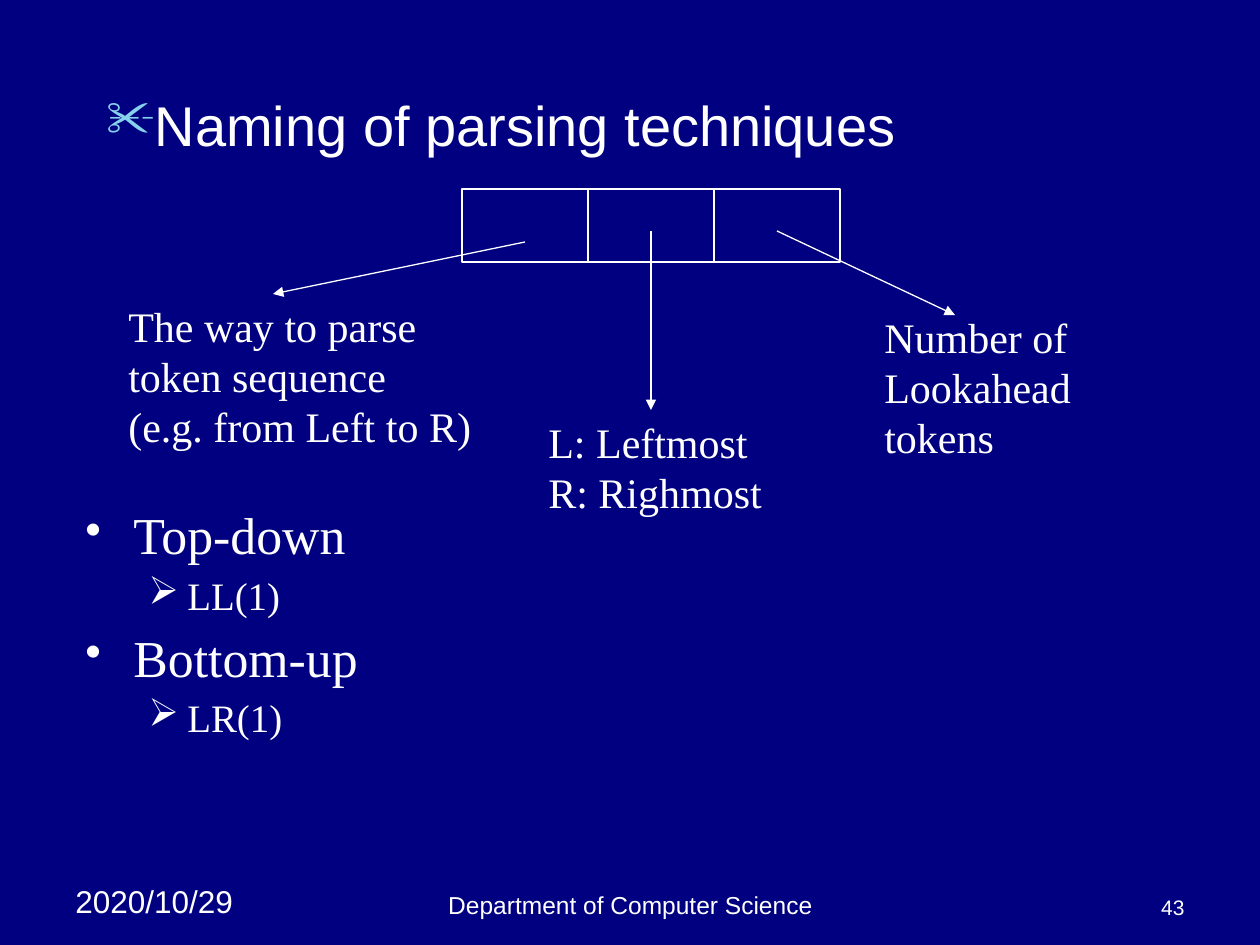
from dataclasses import dataclass

import pptx
import pptx.dml.color
import pptx.enum.shapes
import pptx.enum.text
import pptx.oxml.ns
import pptx.util
from lxml import etree

EMU_PER_PX = 914400 / 126
WHITE = "FFFFFF"
SANS, SERIF = "Arial", "Times New Roman"
ALIGN = pptx.enum.text.PP_ALIGN
ANCHOR = pptx.enum.text.MSO_ANCHOR


@dataclass
class Bullet:
    char: str
    indent: int
    hang: int
    color: str = WHITE
    size: int = 100
    level: int = 0


@dataclass
class Label:
    text: str
    left: int
    top: int
    width: int
    height: int
    wrap: bool


@dataclass
class Arrow:
    start: tuple[int, int]
    end: tuple[int, int]


def px(length: int) -> pptx.util.Emu:
    return pptx.util.Emu(round(length * EMU_PER_PX))


def rgb(color: str) -> pptx.dml.color.RGBColor:
    return pptx.dml.color.RGBColor.from_string(color)


def add_child(parent, tag: str, **attributes: str):
    return etree.SubElement(parent, pptx.oxml.ns.qn(tag), attributes)


def add_bullet(para, bullet: Bullet) -> None:
    para.level = bullet.level
    properties = para._p.get_or_add_pPr()
    properties.set("marL", str(px(bullet.indent)))
    properties.set("indent", str(px(-bullet.hang)))
    add_child(add_child(properties, "a:buClr"), "a:srgbClr", val=bullet.color)
    add_child(properties, "a:buSzPct", val=str(bullet.size * 1000))
    add_child(properties, "a:buChar", char=bullet.char)


def add_box(page, left: int, top: int, width: int, height: int, *, wrap=True, grow=False,
            anchor=ANCHOR.TOP):
    box = page.shapes.add_textbox(px(left), px(top), px(width), px(height))
    frame = box.text_frame
    frame.word_wrap = wrap
    frame.vertical_anchor = anchor
    sizing = pptx.enum.text.MSO_AUTO_SIZE
    frame.auto_size = sizing.SHAPE_TO_FIT_TEXT if grow else sizing.NONE
    return frame


def write(frame, text: str, *, size=24, font=SERIF, color=WHITE, align=ALIGN.LEFT,
          bullet: Bullet | None = None, before=0, spacing=1.0) -> None:
    """Fill the first paragraph of the frame, or add one after the others."""
    first = not frame.text
    para = frame.paragraphs[0] if first else frame.add_paragraph()
    if bullet:
        add_bullet(para, bullet)
    para.alignment = align
    para.line_spacing = spacing
    para.space_before = pptx.util.Pt(0 if first else before)
    span = para.add_run()
    span.text = text
    span.font.size = pptx.util.Pt(size)
    span.font.name = font
    span.font.color.rgb = rgb(color)


def style_line(line) -> None:
    line.color.rgb = rgb(WHITE)
    line.width = pptx.util.Pt(0.75)


def draw_cell(page, left: int, top: int, width: int, height: int) -> None:
    cell = page.shapes.add_shape(pptx.enum.shapes.MSO_SHAPE.RECTANGLE,
                                 px(left), px(top), px(width), px(height))
    cell.shadow.inherit = False
    cell.fill.background()
    style_line(cell.line)


def draw_arrow(page, arrow: Arrow) -> None:
    connector = page.shapes.add_connector(pptx.enum.shapes.MSO_CONNECTOR.STRAIGHT,
                                          *map(px, arrow.start + arrow.end))
    style_line(connector.line)
    add_child(connector.line._get_or_add_ln(), "a:tailEnd", type="triangle")
    add_child(connector._element.spPr, "a:effectLst")


def draw_label(page, label: Label) -> None:
    frame = add_box(page, label.left, label.top, label.width, label.height,
                    wrap=label.wrap, grow=True)
    for line in label.text.split("\n"):
        write(frame, line)


SCISSORS = Bullet("✂", 48, 48, color="86D1EC", size=90)
DOT = Bullet("•", 48, 48, size=90)
ARROWHEAD = Bullet("➢", 102, 39, level=1)

LABELS = [
    Label("The way to parse\ntoken sequence\n(e.g. from Left to R)", 116, 294, 368, 164, False),
    Label("L: Leftmost\nR: Righmost", 536, 410, 249, 113, False),
    Label("Number of\nLookahead\ntokens", 872, 305, 242, 164, True),
]
ARROWS = [
    Arrow((525, 242), (273, 294)),
    Arrow((651, 231), (651, 410)),
    Arrow((777, 231), (955, 315)),
]
TECHNIQUES = {"Top-down": "LL(1)", "Bottom-up": "LR(1)"}


def main() -> None:
    deck = pptx.Presentation()
    deck.slide_width, deck.slide_height = px(1260), px(945)
    page = deck.slides.add_slide(deck.slide_layouts[6])
    page.background.fill.solid()
    page.background.fill.fore_color.rgb = rgb("000080")

    # Footer
    write(add_box(page, 63, 876, 199, 50, grow=True), "2020/10/29", size=18, font=SANS)
    write(add_box(page, 431, 861, 399, 65, anchor=ANCHOR.BOTTOM),
          "Department of Computer Science", size=14, font=SANS, align=ALIGN.CENTER)
    write(add_box(page, 903, 861, 294, 65, anchor=ANCHOR.BOTTOM),
          "43", size=12, font=SANS, align=ALIGN.RIGHT)

    # Heading
    write(add_box(page, 94, 84, 1071, 84), "Naming of parsing techniques",
          size=32, font=SANS, bullet=SCISSORS)

    # Three-part name with its explanations
    for column in range(3):
        draw_cell(page, 462 + 126 * column, 189, 126, 73)
    for label in LABELS:
        draw_label(page, label)
    for arrow in ARROWS:
        draw_arrow(page, arrow)

    # Techniques and their examples
    frame = add_box(page, 73, 504, 1081, 273)
    for technique, example in TECHNIQUES.items():
        write(frame, technique, size=29.6, bullet=DOT, before=8, spacing=0.9)
        write(frame, example, size=22.2, bullet=ARROWHEAD, before=6, spacing=0.9)

    deck.save("out.pptx")


if __name__ == "__main__":
    main()
